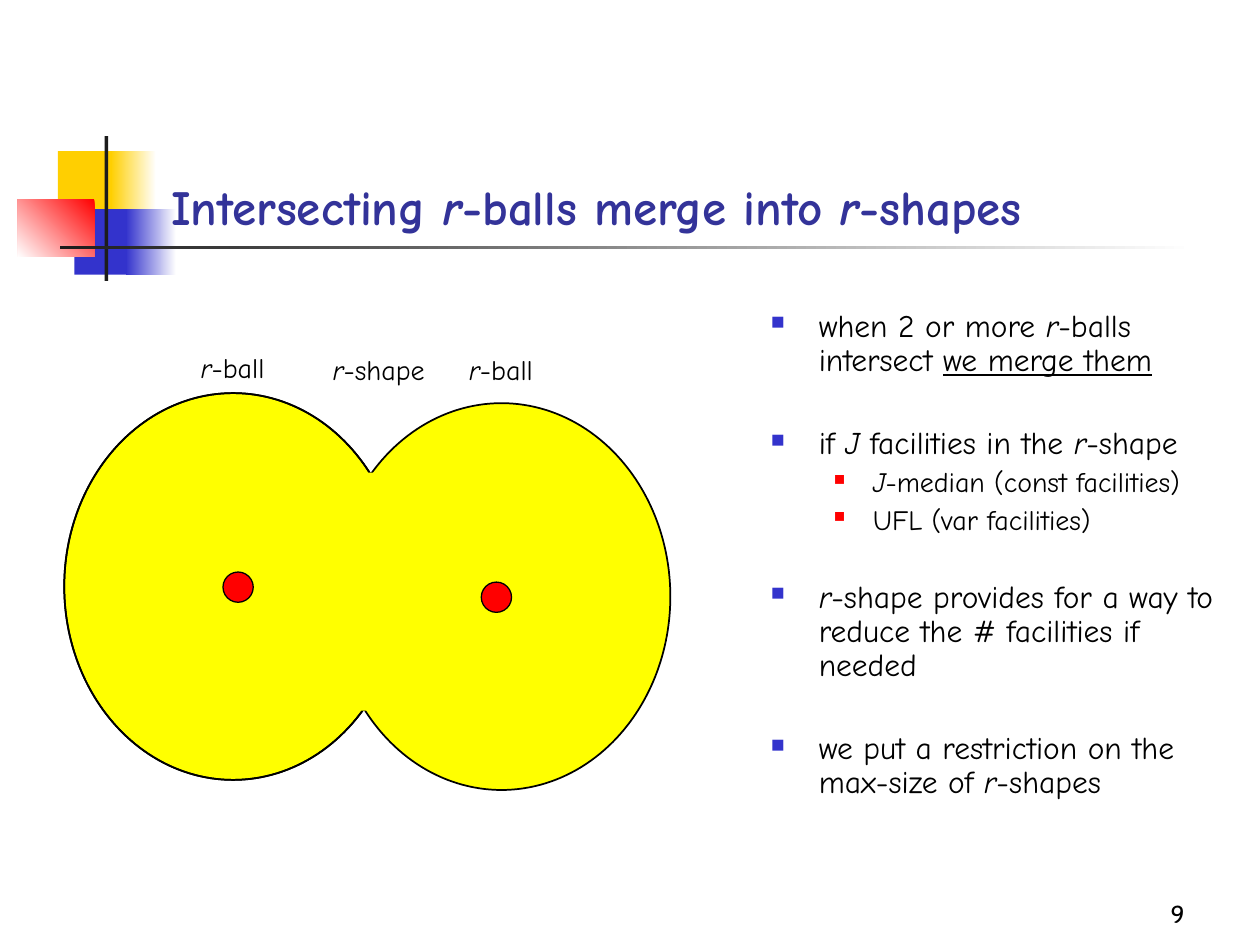
import pptx
import pptx.util
import pptx.dml.color
import pptx.enum.shapes
import pptx.enum.text
import pptx.oxml
import pptx.oxml.ns
import lxml.etree

Inches = pptx.util.Inches
Pt = pptx.util.Pt
SHAPE = pptx.enum.shapes.MSO_SHAPE
ALIGN = pptx.enum.text.PP_ALIGN
ANCHOR = pptx.enum.text.MSO_ANCHOR
BODY_FONT = "Comic Neue"
YELLOW, BLUE, RED, DARK, WHITE, BLACK = "FFFF00", "3333CC", "FF0000", "1C1C1C", "FFFFFF", "000000"


def color(hex_code):
    """Turn a hex string into a colour."""
    return pptx.dml.color.RGBColor.from_string(hex_code)


def add_form(slide, kind, box, fill=None, line_width=None):
    """Add a preset shape with a solid, two-colour or absent fill."""
    form = slide.shapes.add_shape(kind, *[Inches(v) for v in box])
    form.shadow.inherit = False
    if fill is None:
        form.fill.background()
    elif isinstance(fill, str):
        form.fill.solid()
        form.fill.fore_color.rgb = color(fill)
    else:
        start, end, angle = fill
        form.fill.gradient()
        form.fill.gradient_angle = angle
        for stop, hex_code in zip(form.fill.gradient_stops, (start, end)):
            stop.color.rgb = color(hex_code)
    if line_width is None:
        form.line.fill.background()
    else:
        form.line.color.rgb = color(BLACK)
        form.line.width = Pt(line_width)
    return form


def add_frame(slide, box, wrap=True, anchor=ANCHOR.TOP):
    """Add an empty text box and return its text frame."""
    frame = slide.shapes.add_textbox(*[Inches(v) for v in box]).text_frame
    frame.word_wrap = wrap
    frame.vertical_anchor = anchor
    return frame


def write(paragraph, pieces, size, hex_code=BLACK, font=BODY_FONT, bold=False):
    """Write (text, style) pieces as runs; style i is italic and u underlined."""
    for text, style in pieces:
        run = paragraph.add_run()
        run.text = text
        run.font.name = font
        run.font.size = Pt(size)
        run.font.color.rgb = color(hex_code)
        run.font.bold = bold
        run.font.italic = style == "i"
        run.font.underline = style == "u"


def set_bullet(paragraph, indent, hang, hex_code, percent):
    """Give a paragraph a hanging square bullet."""
    props = paragraph._p.get_or_add_pPr()
    props.set("marL", str(Inches(indent)))
    props.set("indent", str(-Inches(hang)))
    qn = pptx.oxml.ns.qn
    tint = lxml.etree.SubElement(props, qn("a:buClr"))
    lxml.etree.SubElement(tint, qn("a:srgbClr")).set("val", hex_code)
    lxml.etree.SubElement(props, qn("a:buSzPct")).set("val", str(percent * 1000))
    lxml.etree.SubElement(props, qn("a:buChar")).set("char", "\u25a0")


def draw_ornament(slide, left, top):
    """Draw the coloured blocks and the crossed bars beside the title."""
    for x, y, width, height, fill in (
        (0.32, 0.12, 0.48, 0.52, "FFCF01"),
        (0.74, 0.12, 0.36, 0.52, (WHITE, "FFCF01", 180)),
        (0.45, 0.58, 0.46, 0.52, BLUE),
        (0.86, 0.58, 0.4, 0.52, (WHITE, BLUE, 180)),
        (0, 0.5, 0.61, 0.46, (RED, WHITE, 225)),
        (0.69, 0, 0.03, 1.15, DARK),
        (0.34, 0.87, 9, 0.03, (WHITE, DARK, 180)),
    ):
        add_form(slide, SHAPE.RECTANGLE, (left + x, top + y, width, height), fill)


def draw_title(slide, box):
    """Write the slide title at the bottom of its box."""
    frame = add_frame(slide, box, anchor=ANCHOR.BOTTOM)
    pieces = [("Intersecting ", ""), ("r", "i"), ("-balls merge into ", ""), ("r", "i"), ("-shapes", "")]
    write(frame.paragraphs[0], pieces, 28, "333399", bold=True)


def draw_merged_balls(slide, left, top):
    """Draw two overlapping balls merged into one shape, with labels."""
    width, height, dot = 2.68, 3.07, 0.24
    left_ball = (left, top, width, height)
    right_ball = (left + 2.13, top + 0.08, width, height)
    for ball, fill in ((left_ball, YELLOW), (right_ball, YELLOW), (left_ball, None)):
        add_form(slide, SHAPE.OVAL, ball, fill, 1)
    add_form(slide, SHAPE.RECTANGLE, (left + 1.89, top + 0.63, 1.02, 1.89), YELLOW)
    for x, y in ((1.26, 1.42), (3.31, 1.5)):
        add_form(slide, SHAPE.OVAL, (left + x, top + y, dot, dot), RED, 0.75)
    for x, y, label_width, ending in (
        (0.98, -0.39, 0.71, "-ball"),
        (3.11, -0.37, 0.71, "-ball"),
        (2.03, -0.37, 0.93, "-shape"),
    ):
        frame = add_frame(slide, (left + x, top + y, label_width, 0.37), wrap=False)
        label = frame.paragraphs[0]
        label.alignment = ALIGN.CENTER
        label.space_before = Pt(4)
        write(label, [("r", "i"), (ending, "")], 16)


def draw_points(slide, box):
    """Write the two-level bullet list."""
    levels = ((18, 0.38, 0.38, BLUE, 60), (16, 0.81, 0.31, RED, 55))
    points = (
        (0, 4.5, [("when 2 or more ", ""), ("r", "i"), ("-balls intersect ", ""), ("we merge them", "u")]),
        (0, 28.5, [("if ", ""), ("J", "i"), (" facilities in the ", ""), ("r", "i"), ("-shape", "")]),
        (1, 4, [("J", "i"), ("-median (const facilities)", "")]),
        (1, 4, [("UFL (var facilities)", "")]),
        (0, 25.5, [("r", "i"), ("-shape provides for a way to reduce the # facilities if needed", "")]),
        (0, 28.5, [("we put a restriction on the max-size of ", ""), ("r", "i"), ("-shapes", "")]),
    )
    frame = add_frame(slide, box)
    for number, (level, gap, pieces) in enumerate(points):
        point = frame.add_paragraph() if number else frame.paragraphs[0]
        size, indent, hang, bullet_color, percent = levels[level]
        point.level = level
        point.line_spacing = 0.9
        point.space_before = Pt(gap)
        set_bullet(point, indent, hang, bullet_color, percent)
        write(point, pieces, size)


def draw_page_number(slide, box):
    """Write the page number at the lower right of its box."""
    number = add_frame(slide, box, anchor=ANCHOR.BOTTOM).paragraphs[0]
    number.alignment = ALIGN.RIGHT
    write(number, [("9", "")], 14, font="Cabin")


def main():
    """Build and save the slide."""
    deck = pptx.Presentation()
    deck.slide_width, deck.slide_height = Inches(10), Inches(7.5)
    slide = deck.slides.add_slide(deck.slide_layouts[6])
    draw_ornament(slide, 0.14, 1.08)
    draw_title(slide, (1.26, 0.67, 8.52, 1.25))
    draw_points(slide, (6.02, 2.41, 3.77, 4.3))
    draw_merged_balls(slide, 0.51, 3.12)
    draw_page_number(slide, (7.42, 6.92, 2.08, 0.5))
    deck.save("out.pptx")


main()
